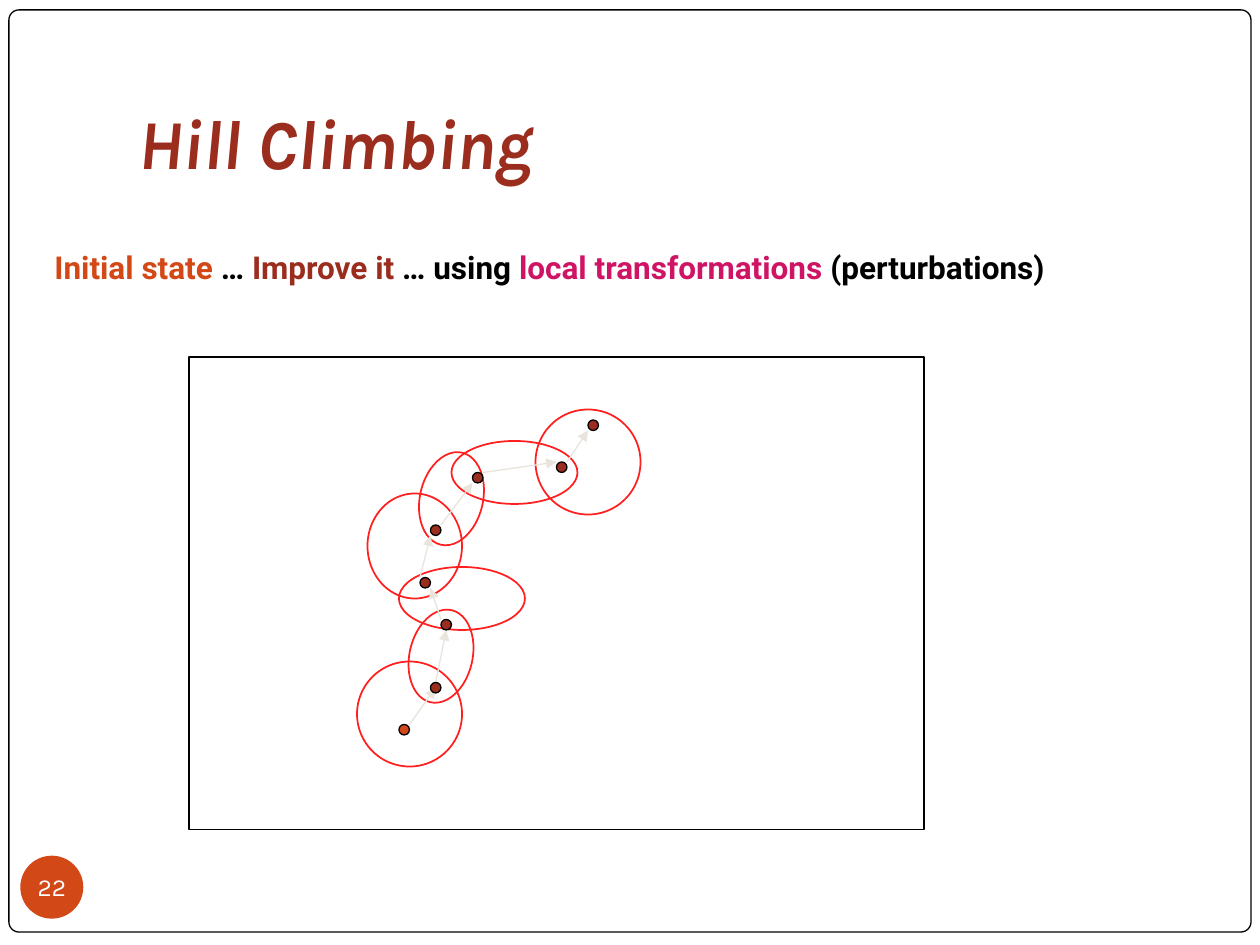
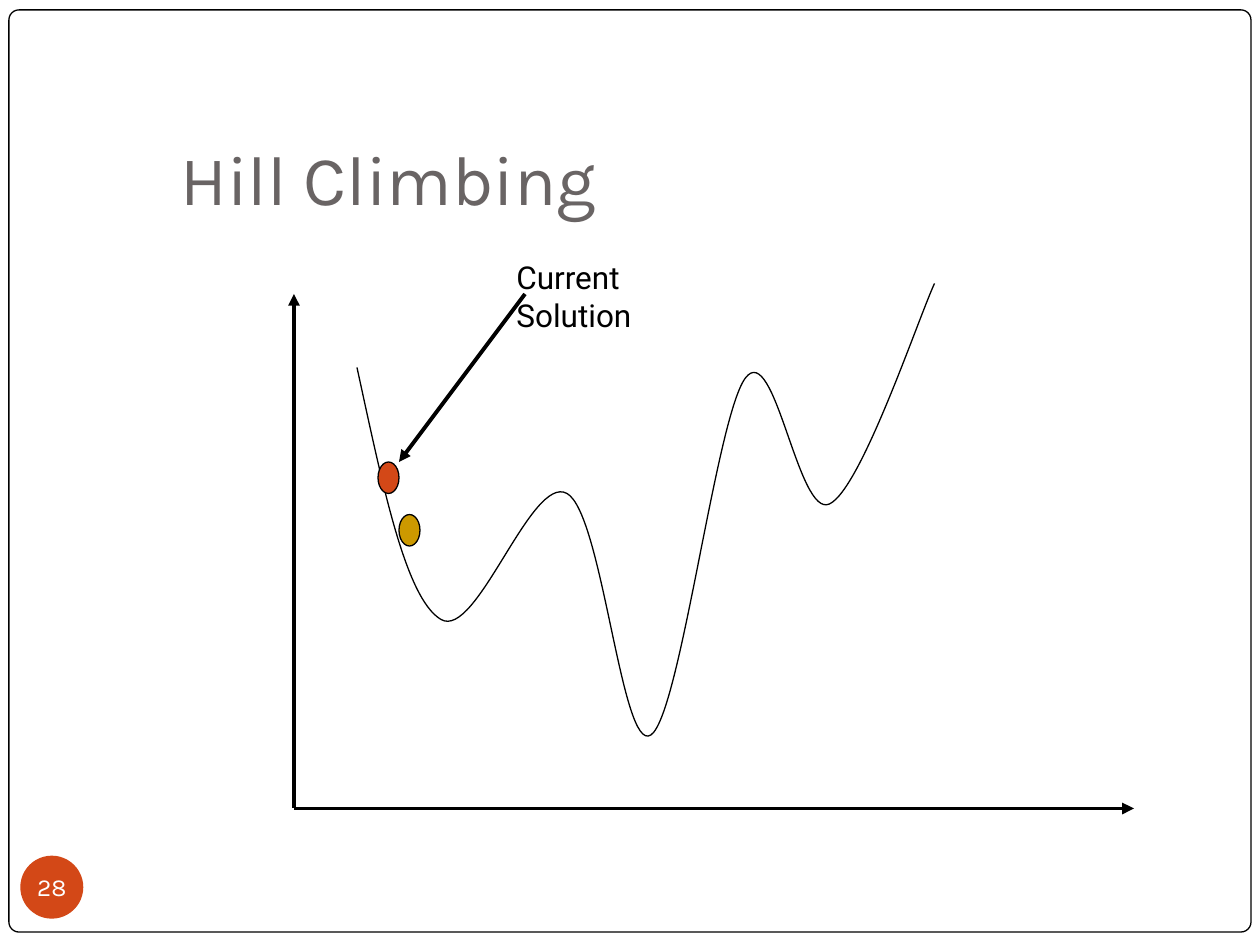
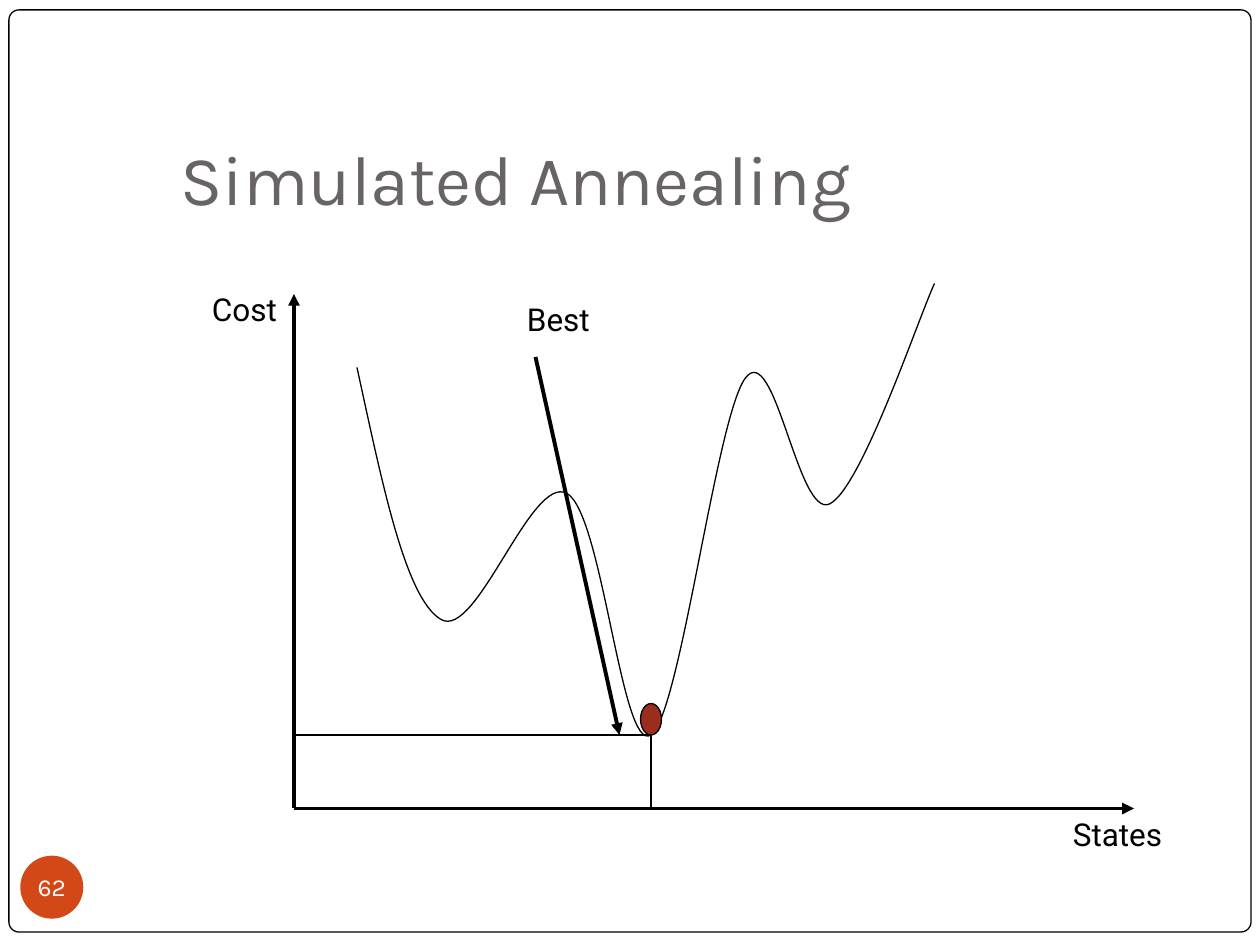
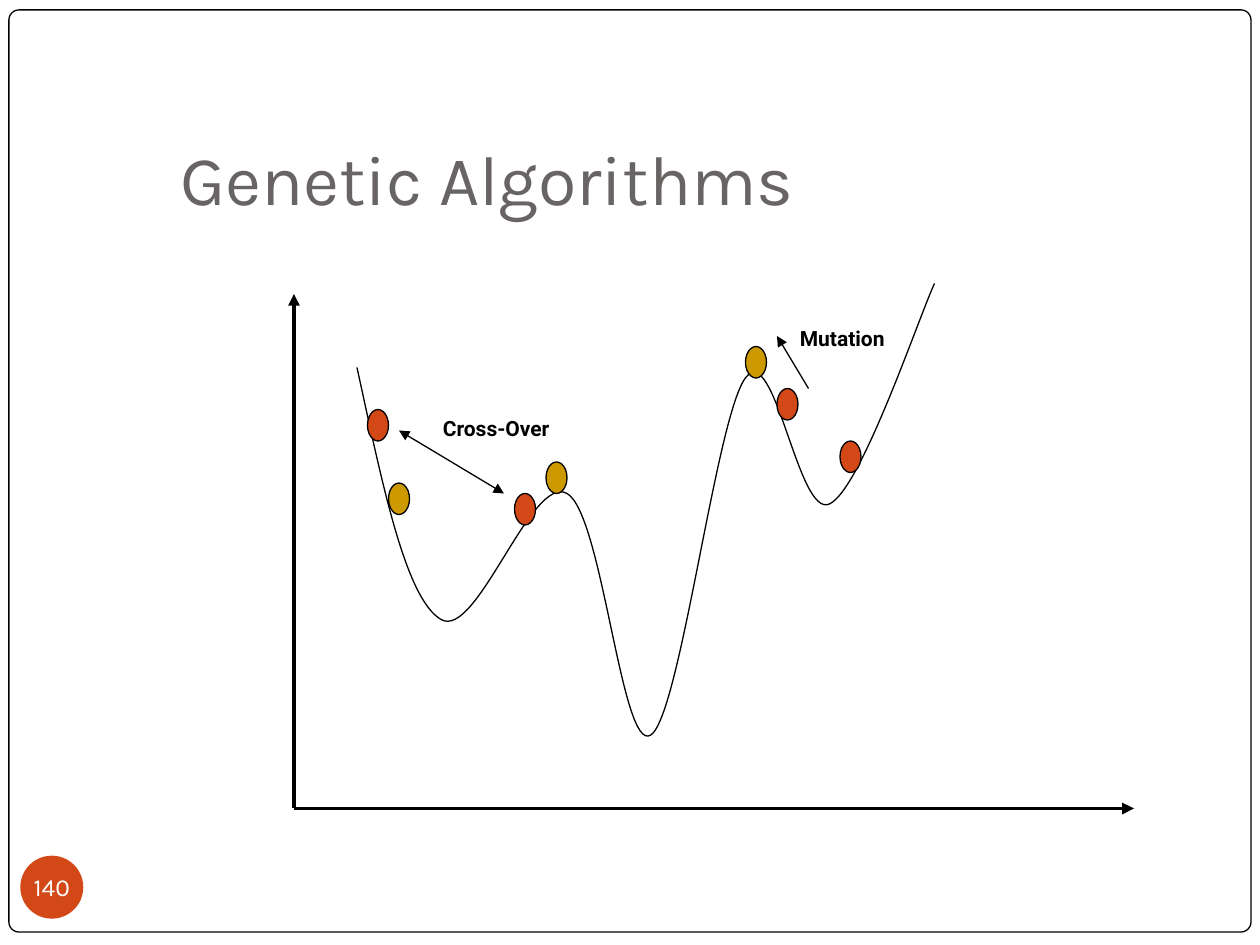
"""Four slides on local search: hill climbing, annealing and genetic algorithms."""
from lxml import etree
from pptx import Presentation
from pptx.dml.color import RGBColor
from pptx.enum import shapes, text
from pptx.oxml.ns import qn
from pptx.util import Cm, Pt

HEADING_FONT, BODY_FONT = "Karla", "Roboto"
BLACK, WHITE, GREY, PALE = "000000", "FFFFFF", "696464", "E9E5DC"
ORANGE, BRICK, GOLD, RED, PINK = "D34817", "9B2D1F", "CC9900", "FF1F1F", "D01465"
OVAL = shapes.MSO_SHAPE.OVAL
TITLE_BOX = (3.38, 2.39, 21.64, 2.29)

ORIGIN, COST_TOP, STATES_END = (28, 77), (28, 28), (108, 77)
MINIMUM = (62, 70)
COST_CURVE = [
    (34, 35),
    (36.4, 46), (38.6, 57), (42, 59),
    (45.4, 61), (50.6, 45.1), (54, 47),
    (57.4, 48.9), (59.2, 71.9), MINIMUM,
    (64.8, 68.1), (68.2, 39.7), (71, 36),
    (73.8, 32.3), (76, 49.4), (79, 48),
    (82, 46.6), (87.4, 30.5), (89, 27),
]
NEIGHBOURHOODS = [
    (34, 63, 10, 10, 0), (39, 58, 6, 9, 13), (38, 54, 12, 6, 0), (35, 47, 9, 10, 0),
    (40, 43, 6, 9, 13), (43, 42, 12, 6, 0), (51, 39, 10, 10, 0),
]
STATES = [(38, 69), (41, 65), (42, 59), (40, 55), (41, 50), (45, 45), (53, 44), (56, 40)]
MOVES = [
    ((39, 69), (41.5, 65.5)), ((41.5, 65), (42.5, 60)), ((42, 59), (41, 56)),
    ((40, 55), (41, 51)), ((42, 50), (45, 46)), ((46, 45), (53, 44)), ((54, 44), (56, 41)),
]


def grid(*steps):
    """Convert steps of the drawing grid, a twelfth of an inch, to lengths."""
    return [Cm(step * 2.54 / 12) for step in steps]


def paint(color_format, color):
    """Set a solid fill or a font colour from a hex string."""
    color_format.rgb = RGBColor.from_string(color)


def style_font(font, name, size, color, bold=None, italic=None):
    """Format one run's font."""
    font.name, font.size, font.bold, font.italic = name, Pt(size), bold, italic
    paint(font.color, color)


def style_shape(shape, fill=None, line=None, width=0.75):
    """Give a shape its fill and outline, without a shadow."""
    shape.shadow.inherit = False
    if fill:
        shape.fill.solid()
        paint(shape.fill.fore_color, fill)
    else:
        shape.fill.background()
    if line:
        paint(shape.line.color, line)
        shape.line.width = Pt(width)
    else:
        shape.line.fill.background()


def add_figure(parent, kind, box, **style):
    """Add a styled preset shape with its box in lengths."""
    figure = parent.add_shape(kind, *box)
    style_shape(figure, **style)
    return figure


def add_line(parent, start, end, color=BLACK, width=0.75, heads=()):
    """Add a straight line between grid points with optional arrowheads."""
    line = parent.add_connector(shapes.MSO_CONNECTOR.STRAIGHT, *grid(*start), *grid(*end))
    paint(line.line.color, color)
    line.line.width = Pt(width)
    outline = line.line._get_or_add_ln()
    for head in heads:
        etree.SubElement(outline, qn(f"a:{head}"), type="triangle")
    etree.SubElement(line.element.spPr, qn("a:effectLst"))


def add_label(slide, box, parts, size=18, bold=None):
    """Add a text box on the grid made of (wording, colour) parts."""
    label = slide.shapes.add_textbox(*grid(*box))
    frame = label.text_frame
    frame.word_wrap = True
    frame.auto_size = text.MSO_AUTO_SIZE.SHAPE_TO_FIT_TEXT
    for wording, color in parts:
        run = frame.paragraphs[0].add_run()
        run.text = wording
        style_font(run.font, BODY_FONT, size, color, bold)


def add_border(slide):
    """Put the rounded slide border on the layout behind everything."""
    box = (Cm(0.18), Cm(0.2), Cm(25.04), Cm(18.59))
    border = add_figure(slide.shapes, shapes.MSO_SHAPE.ROUNDED_RECTANGLE, box,
                        fill=WHITE, line=BLACK)
    border.adjustments[0] = 0.011
    slide.slide_layout.shapes.element.insert(2, border.element)


def add_page(deck, title, number, box=TITLE_BOX, color=GREY, emphasis=None):
    """Add a slide with its title and number badge."""
    slide = deck.slides.add_slide(deck.slide_layouts[5])
    heading = slide.shapes.title
    heading.left, heading.top, heading.width, heading.height = map(Cm, box)
    frame = heading.text_frame
    frame.text = title
    frame.auto_size = text.MSO_AUTO_SIZE.NONE
    frame.vertical_anchor = text.MSO_ANCHOR.BOTTOM
    frame.margin_bottom = Cm(0.25)
    frame.paragraphs[0].alignment = text.PP_ALIGN.LEFT
    style_font(frame.paragraphs[0].runs[0].font, HEADING_FONT, 40, color, emphasis, emphasis)

    badge = add_figure(slide.shapes, OVAL, (Cm(0.41), Cm(17.25), Cm(1.27), Cm(1.27)), fill=ORANGE)
    frame = badge.text_frame
    frame.text = str(number)
    frame.word_wrap = False
    frame.margin_left = frame.margin_right = frame.margin_top = frame.margin_bottom = 0
    frame.vertical_anchor = text.MSO_ANCHOR.MIDDLE
    frame.paragraphs[0].alignment = text.PP_ALIGN.CENTER
    style_font(frame.paragraphs[0].runs[0].font, HEADING_FONT, 14, WHITE)
    return slide


def add_cost_curve(slide):
    """Draw the axes and the Bézier cost curve."""
    add_line(slide.shapes, COST_TOP, ORIGIN, width=2.25, heads=["headEnd"])
    add_line(slide.shapes, ORIGIN, STATES_END, width=2.25, heads=["tailEnd"])
    start, *controls = [grid(*point) for point in COST_CURVE]
    builder = slide.shapes.build_freeform(*start)
    builder.add_line_segments(controls, close=False)
    curve = builder.convert_to_shape()
    style_shape(curve, line=BLACK)
    segments = list(curve.element.iter(qn("a:lnTo")))
    for first in range(0, len(segments), 3):
        bezier = etree.Element(qn("a:cubicBezTo"))
        segments[first].addprevious(bezier)
        for segment in segments[first:first + 3]:
            bezier.append(segment[0])
            segment.getparent().remove(segment)


def add_solutions(slide, color, places):
    """Mark solutions as upright ovals at grid points."""
    for place in places:
        add_figure(slide.shapes, OVAL, grid(*place, 2, 3), fill=color, line=BLACK)


def add_search_trail(slide):
    """Draw the search space with neighbourhoods, moves and visited states."""
    add_figure(slide.shapes, shapes.MSO_SHAPE.RECTANGLE, grid(18, 34, 70, 45), line=BLACK)
    trail = slide.shapes.add_group_shape().shapes
    for *box, angle in NEIGHBOURHOODS:
        add_figure(trail, OVAL, grid(*box), line=RED, width=1).rotation = angle
    for start, end in MOVES:
        add_line(trail, start, end, PALE, heads=["tailEnd"])
    for index, state in enumerate(STATES):
        add_figure(trail, OVAL, grid(*state, 1, 1), fill=BRICK if index else ORANGE, line=BLACK)


def build_local_moves(deck):
    """Hill climbing as a chain of local transformations."""
    slide = add_page(deck, "Hill Climbing", 22, (2.54, 1.27, 21.59, 2.67), BRICK, True)
    add_border(slide)
    add_search_trail(slide)
    add_label(slide, (4, 23, 113, 4.8), [
        ("Initial state", ORANGE), (" … ", BLACK), ("Improve it", BRICK),
        (" … using ", BLACK), ("local transformations", PINK), (" (perturbations)", BLACK),
    ], bold=True)


def build_hill_climbing(deck):
    """Hill climbing on the cost curve."""
    slide = add_page(deck, "Hill Climbing", 28)
    add_cost_curve(slide)
    add_solutions(slide, GOLD, [(38, 49)])
    add_line(slide.shapes, (50, 28), (38, 44), width=2.25, heads=["tailEnd"])
    add_solutions(slide, ORANGE, [(36, 44)])
    add_label(slide, (48, 24, 14, 8.4), [("Current Solution", BLACK)])


def build_annealing(deck):
    """Simulated annealing reaching the best state."""
    slide = add_page(deck, "Simulated Annealing", 62)
    add_cost_curve(slide)
    add_solutions(slide, BRICK, [(61, 67)])
    add_label(slide, (19, 27, 13, 4.8), [("Cost", BLACK)])
    add_label(slide, (101, 77, 14, 4.8), [("States", BLACK)])
    add_line(slide.shapes, (51, 34), (59, 70), width=2.25, heads=["tailEnd"])
    add_label(slide, (49, 28, 10, 4.8), [("Best", BLACK)])
    for foot in ((MINIMUM[0], ORIGIN[1]), (ORIGIN[0], MINIMUM[1])):
        add_line(slide.shapes, MINIMUM, foot)


def build_genetic(deck):
    """Genetic algorithms with cross-over and mutation."""
    slide = add_page(deck, "Genetic Algorithms", 140)
    add_cost_curve(slide)
    add_solutions(slide, ORANGE, [(35, 39), (49, 47), (74, 37), (80, 42)])
    add_solutions(slide, GOLD, [(37, 46), (52, 44), (71, 33)])
    add_line(slide.shapes, (38, 41), (48, 47), heads=["headEnd", "tailEnd"])
    add_line(slide.shapes, (77, 37), (74, 32), heads=["tailEnd"])
    add_label(slide, (75, 30.4, 13, 3.6), [("Mutation", BLACK)], 12, True)
    add_label(slide, (41, 39, 15, 3.6), [("Cross-Over", BLACK)], 12, True)


def main():
    """Build the deck and save it."""
    deck = Presentation()
    deck.slide_width, deck.slide_height = Cm(25.4), Cm(19.05)
    build_local_moves(deck)
    build_hill_climbing(deck)
    build_annealing(deck)
    build_genetic(deck)
    deck.save("out.pptx")


if __name__ == "__main__":
    main()
